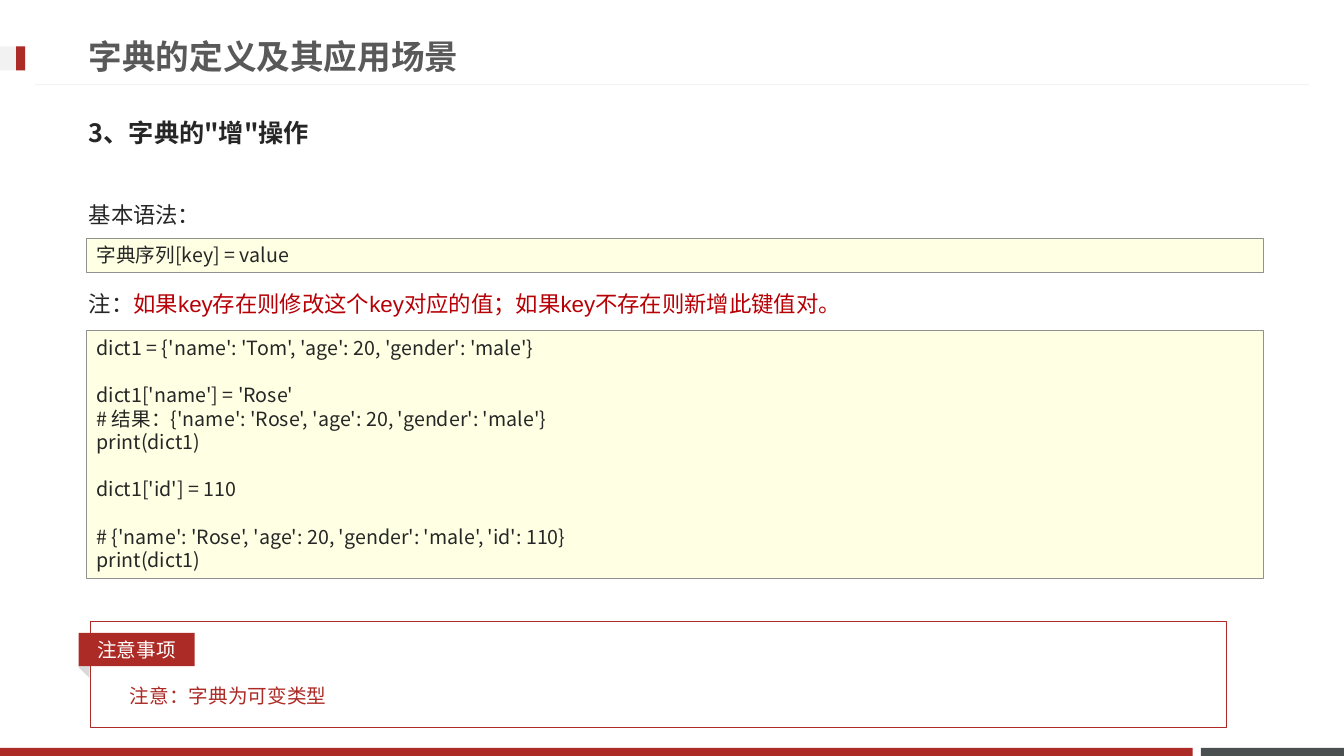
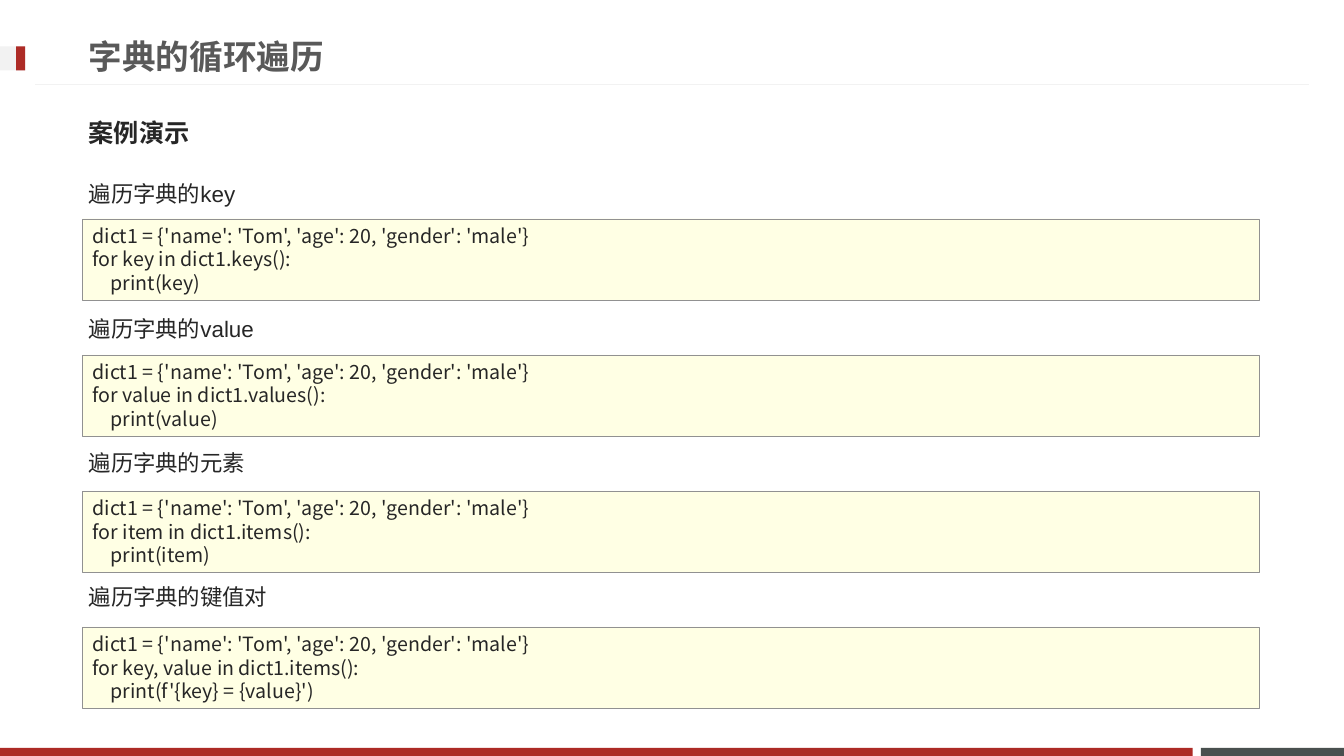
from dataclasses import dataclass
from lxml import etree
from pptx import Presentation
from pptx.dml.color import RGBColor
from pptx.enum.shapes import MSO_CONNECTOR, MSO_SHAPE
from pptx.enum.text import MSO_ANCHOR, MSO_AUTO_SIZE, PP_ALIGN
from pptx.oxml.ns import qn
from pptx.util import Inches, Pt

RECT, TRIANGLE = MSO_SHAPE.RECTANGLE, MSO_SHAPE.ISOSCELES_TRIANGLE
STRAIGHT = MSO_CONNECTOR.STRAIGHT
TOP, MIDDLE = MSO_ANCHOR.TOP, MSO_ANCHOR.MIDDLE
LEFT, CENTER = PP_ALIGN.LEFT, PP_ALIGN.CENTER
FIXED = MSO_AUTO_SIZE.NONE


@dataclass(frozen=True)
class Theme:
    red: str = "AD2B26"
    alert: str = "B70006"
    slate: str = "49504F"
    pale: str = "F2F2F2"
    fold: str = "D9D9D9"
    ink: str = "262626"
    gray: str = "595959"
    white: str = "FFFFFF"
    cream: str = "FFFFE4"
    edge: str = "919191"
    sans: str = "Arial"
    cjk: str = "Noto Sans CJK JP"
    title: int = 24
    head: int = 18
    body: int = 16
    code: int = 14
    code_gap: int = 17
    body_line: int = 30


THEME = Theme()
TITLE = dict(name=THEME.sans, size=Pt(THEME.title), bold=True, color=THEME.gray)
HEAD = dict(name=THEME.cjk, size=Pt(THEME.head), bold=True, color=THEME.ink)
BODY = dict(name=THEME.sans, size=Pt(THEME.body), color=THEME.ink)
ALERT = {**BODY, "color": THEME.alert}
CODE = dict(name=THEME.cjk, size=Pt(THEME.code), color=THEME.ink)
NOTE = dict(name=THEME.sans, size=Pt(THEME.code), color=THEME.red)
TAG = {**NOTE, "color": THEME.white}

TITLE_BOX = (0.78, 0.27, 9.59, 0.57)
HEAD_BOX = (0.78, 1.03, 11.76, 0.57)
NOTE_BOX = (0.78, 6.17, 11.39, 1.05)
CODE_WIDTH = 11.67
SPACE_WIDTH = 0.045

EDIT = """dict1 = {'name': 'Tom', 'age': 20, 'gender': 'male'}

dict1['name'] = 'Rose'
# 结果：{'name': 'Rose', 'age': 20, 'gender': 'male'}
print(dict1)

dict1['id'] = 110

# {'name': 'Rose', 'age': 20, 'gender': 'male', 'id': 110}
print(dict1)"""

LOOPS = [
    ("遍历字典的key", "key", "keys", "key"),
    ("遍历字典的value", "value", "values", "value"),
    ("遍历字典的元素", "item", "items", "item"),
    ("遍历字典的键值对", "key, value", "items", "f'{key} = {value}'"),
]
LOOP_CODE = """dict1 = {{'name': 'Tom', 'age': 20, 'gender': 'male'}}
for {} in dict1.{}():
    print({})"""


def place(shape, box):
    for name, value in zip(("left", "top", "width", "height"), box):
        setattr(shape, name, Inches(value))


def style(target, values):
    for name, value in values.items():
        if name == "color":
            target.color.rgb = RGBColor.from_string(value)
        else:
            setattr(target, name, value)


def write(para, text, font, **format):
    style(para, format)
    run = para.add_run()
    run.text = text
    style(run.font, font)


def lines(frame, count):
    """Return the first paragraph of the frame and as many new ones as needed."""
    return [frame.paragraphs[0]] + [frame.add_paragraph() for _ in range(count - 1)]


def plain(para):
    """Take the bullet and hanging indent off a list paragraph."""
    props = para._p.get_or_add_pPr()
    props.set("marL", "0")
    props.set("indent", "0")
    etree.SubElement(props, qn("a:buNone"))


def shape(slide, box, fill=None, line=None, width=0.75, kind=RECT):
    item = slide.shapes.add_shape(kind, *map(Inches, box))
    item.shadow.inherit = False
    if fill:
        item.fill.solid()
        item.fill.fore_color.rgb = RGBColor.from_string(fill)
    else:
        item.fill.background()
    if line:
        style(item.line, dict(color=line, width=Pt(width)))
    else:
        item.line.fill.background()
    return item


def frame_of(item, anchor=TOP):
    frame = item.text_frame
    style(frame, dict(word_wrap=True, auto_size=FIXED, vertical_anchor=anchor))
    return frame


def decorate(slide):
    """Draw the shared bands and rule, then hand them to the slide's layout."""
    parts = [
        shape(slide, box, fill)
        for box, fill in (
            ((11.91, 7.42, 1.42, 0.08), THEME.slate),
            ((0, 7.42, 11.83, 0.08), THEME.red),
            ((0, 0.46, 0.25, 0.24), THEME.pale),
            ((0.16, 0.46, 0.09, 0.24), THEME.red),
        )
    ]
    rule = slide.shapes.add_connector(
        STRAIGHT, *map(Inches, (0.35, 0.84, 12.98, 0.84)))
    style(rule.line, dict(color=THEME.pale, width=Pt(0.75)))
    etree.SubElement(rule.element.spPr, qn("a:effectLst"))
    tree = slide.slide_layout.shapes.element
    for number, part in enumerate(parts + [rule], 20):
        part.element.xpath(".//p:cNvPr")[0].set("id", str(number))
        tree.append(part.element)


def start(deck, layout, title, head):
    slide = deck.slides.add_slide(layout)
    top, sub = slide.shapes.title, slide.placeholders[1]
    place(top, TITLE_BOX)
    place(sub, HEAD_BOX)
    write(frame_of(top, MIDDLE).paragraphs[0], title, TITLE, alignment=LEFT)
    para = frame_of(sub, MIDDLE).paragraphs[0]
    plain(para)
    write(para, head, HEAD, space_before=Pt(0))
    return slide


def body(slide, box, rows, gap):
    """Fill the list; each row holds (text, font) runs, gap is in points."""
    item = slide.placeholders[2]
    place(item, box)
    for number, (para, runs) in enumerate(zip(lines(frame_of(item), len(rows)), rows)):
        plain(para)
        style(para, dict(line_spacing=Pt(THEME.body_line),
                         space_before=Pt(gap if number else 0)))
        for text, font in runs:
            write(para, text, font)


def code(slide, box, text):
    """Show code; blank lines become spacing and leading spaces an indent."""
    frame = frame_of(shape(slide, box, THEME.cream, THEME.edge, 0.25))
    rows, gap = [], 0
    for row in text.split("\n"):
        if row:
            rows.append((row, gap))
        gap = 0 if row else THEME.code_gap
    for para, (row, gap) in zip(lines(frame, len(rows)), rows):
        bare = row.lstrip()
        write(para, bare, CODE, alignment=LEFT, space_before=Pt(gap))
        indent = Inches((len(row) - len(bare)) * SPACE_WIDTH)
        para._p.get_or_add_pPr().set("marL", str(indent))


def notice(slide, box, tag, text):
    """Draw a framed note with a folded tag on its left edge."""
    x, y, w, h = box
    fold = shape(slide, (x, y + 0.42, 0.16, 0.09), THEME.fold, kind=TRIANGLE)
    fold.rotation = 44.2
    label = slide.shapes.add_textbox(
        *map(Inches, (x + 0.41, y + 0.45, w - 0.7, 0.42)))
    write(frame_of(label).paragraphs[0], text, NOTE, line_spacing=1.5)
    shape(slide, (x + 0.12, y, w - 0.12, h), line=THEME.red)
    flag = shape(slide, (x, y + 0.11, 1.15, 0.33), THEME.red)
    write(frame_of(flag, MIDDLE).paragraphs[0], tag, TAG, alignment=CENTER)


def add_page(deck, layout):
    slide = start(deck, layout, "字典的定义及其应用场景", '3、字典的"增"操作')
    decorate(slide)
    body(slide, (0.78, 1.8, 11.76, 4.61), [
        [("基本语法：", BODY)],
        [("注：", BODY),
         ("如果key存在则修改这个key对应的值；如果key不存在则新增此键值对。", ALERT)],
    ], 33.6)
    code(slide, (0.86, 2.36, CODE_WIDTH, 0.34), "字典序列[key] = value")
    notice(slide, NOTE_BOX, "注意事项", "注意：字典为可变类型")
    code(slide, (0.86, 3.28, CODE_WIDTH, 2.46), EDIT)


def loop_page(deck, layout):
    slide = start(deck, layout, "字典的循环遍历", "案例演示")
    body(slide, (0.78, 1.59, 11.76, 5.52),
         [[(label, BODY)] for label, *_ in LOOPS], 66)
    for number, (_, *parts) in enumerate(LOOPS):
        code(slide, (0.82, 2.17 + 1.35 * number, CODE_WIDTH, 0.81),
             LOOP_CODE.format(*parts))


def main():
    deck = Presentation()
    style(deck, dict(slide_width=Inches(13.33), slide_height=Inches(7.5)))
    layout = deck.slide_layouts.get_by_name("Two Content")
    add_page(deck, layout)
    loop_page(deck, layout)
    deck.save("out.pptx")


if __name__ == "__main__":
    main()
